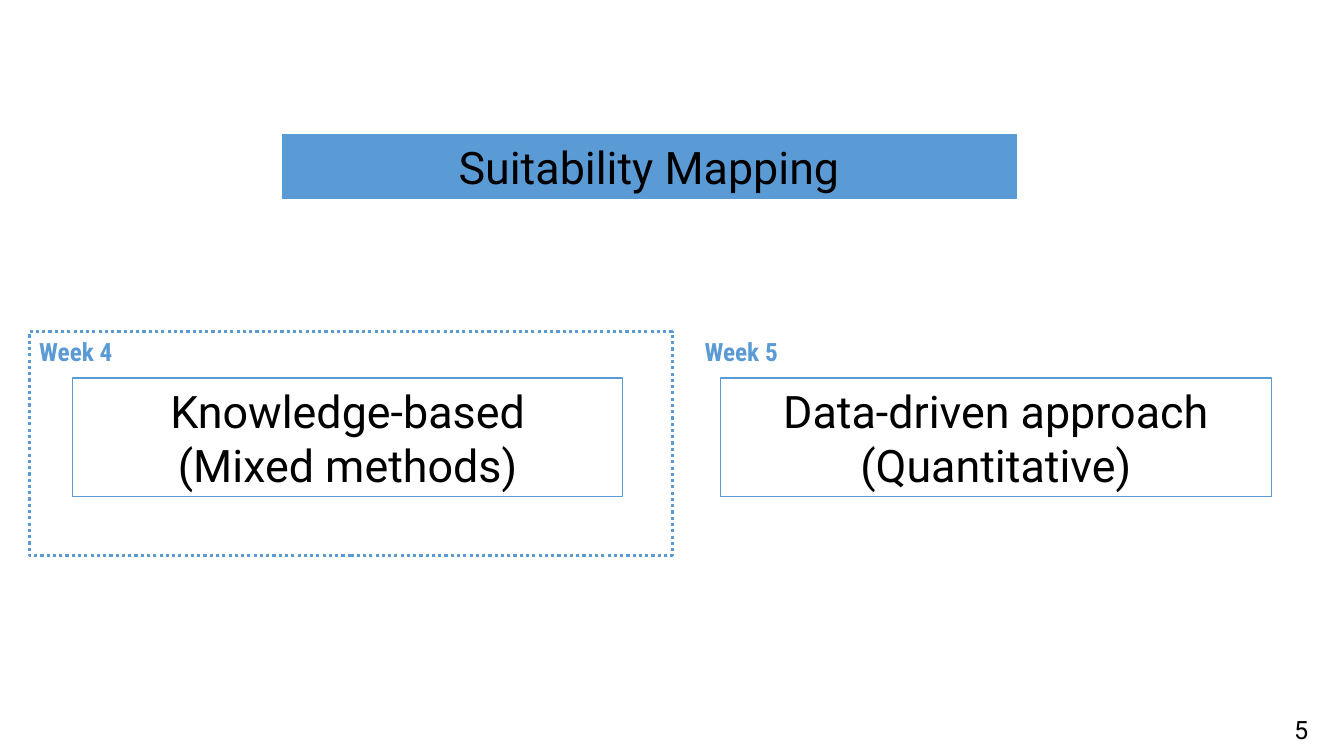
from pptx import Presentation
from pptx import util as u
from pptx.dml.color import RGBColor
from pptx.enum import dml, shapes, text

BLUE = RGBColor(0x5B, 0x9B, 0xD5)
BLACK = RGBColor(0, 0, 0)
WHITE = RGBColor(0xFF, 0xFF, 0xFF)
WIDTH, HEIGHT = u.Inches(13.33), u.Inches(7.5)


def area(left, top, width, height):
    """Turn percentages of the slide's size into lengths."""
    return [int(share * side / 100) for share, side in
            zip((left, top, width, height), (WIDTH, HEIGHT) * 2)]


def write(sp, lines, size=32, font="Roboto", color=BLACK, bold=False,
          align=text.PP_ALIGN.CENTER, anchor=text.MSO_ANCHOR.MIDDLE):
    """Fill a shape with one formatted paragraph per line."""
    tf = sp.text_frame
    tf.word_wrap = True
    tf.auto_size = text.MSO_AUTO_SIZE.NONE
    tf.vertical_anchor = anchor
    for i, line in enumerate(lines):
        p = tf.add_paragraph() if i else tf.paragraphs[0]
        p.alignment = align
        r = p.add_run()
        r.text = line
        r.font.size, r.font.name, r.font.bold = u.Pt(size), font, bold
        r.font.color.rgb = color


def outline(sp, color, width=0.75):
    """Give a shape a solid outline."""
    sp.line.color.rgb = color
    sp.line.width = u.Pt(width)


def add_title(s, title):
    """Place the title on a blue bar."""
    sp = s.shapes.title
    sp.left, sp.top, sp.width, sp.height = area(21, 17.73, 54.6, 8.53)
    sp.fill.solid()
    sp.fill.fore_color.rgb = BLUE
    outline(sp, BLUE)
    write(sp, [title])


def add_box(s, place, color, width=0.75):
    """Add an unfilled outlined rectangle."""
    sp = s.shapes.add_shape(shapes.MSO_SHAPE.RECTANGLE, *area(*place))
    sp.shadow.inherit = False
    sp.fill.background()
    outline(sp, color, width)
    return sp


def add_approach(s, column, lines):
    """Add the box that names an approach."""
    write(add_box(s, (5.4 + 48.23 * column, 50, 40.95, 15.73), BLUE), lines)


def add_week(s, column, week, color):
    """Add the dotted frame of a week with its label."""
    sp = add_box(s, (2.18 + 49.5 * column, 43.87, 47.85, 29.6), color, 2.25)
    sp.line.dash_style = dml.MSO_LINE.ROUND_DOT
    write(sp, [week], size=18, font="Roboto Condensed", color=BLUE, bold=True,
          align=text.PP_ALIGN.LEFT, anchor=text.MSO_ANCHOR.TOP)


def add_page_number(s, number):
    """Add the page number in the bottom right corner."""
    sp = s.shapes.add_textbox(*area(95.55, 93.87, 4.45, 2.13))
    write(sp, [number], size=18, align=text.PP_ALIGN.LEFT,
          anchor=text.MSO_ANCHOR.TOP)


def main():
    """Build and save the slide."""
    prs = Presentation()
    prs.slide_width, prs.slide_height = WIDTH, HEIGHT
    s = prs.slides.add_slide(prs.slide_layouts[5])
    add_title(s, "Suitability Mapping")
    add_approach(s, 0, ["Knowledge-based", "(Mixed methods)"])
    add_approach(s, 1, ["Data-driven approach", "(Quantitative)"])
    add_week(s, 0, "Week 4", BLUE)
    add_week(s, 1, "Week 5", WHITE)
    add_page_number(s, "5")
    prs.save("out.pptx")


if __name__ == "__main__":
    main()
